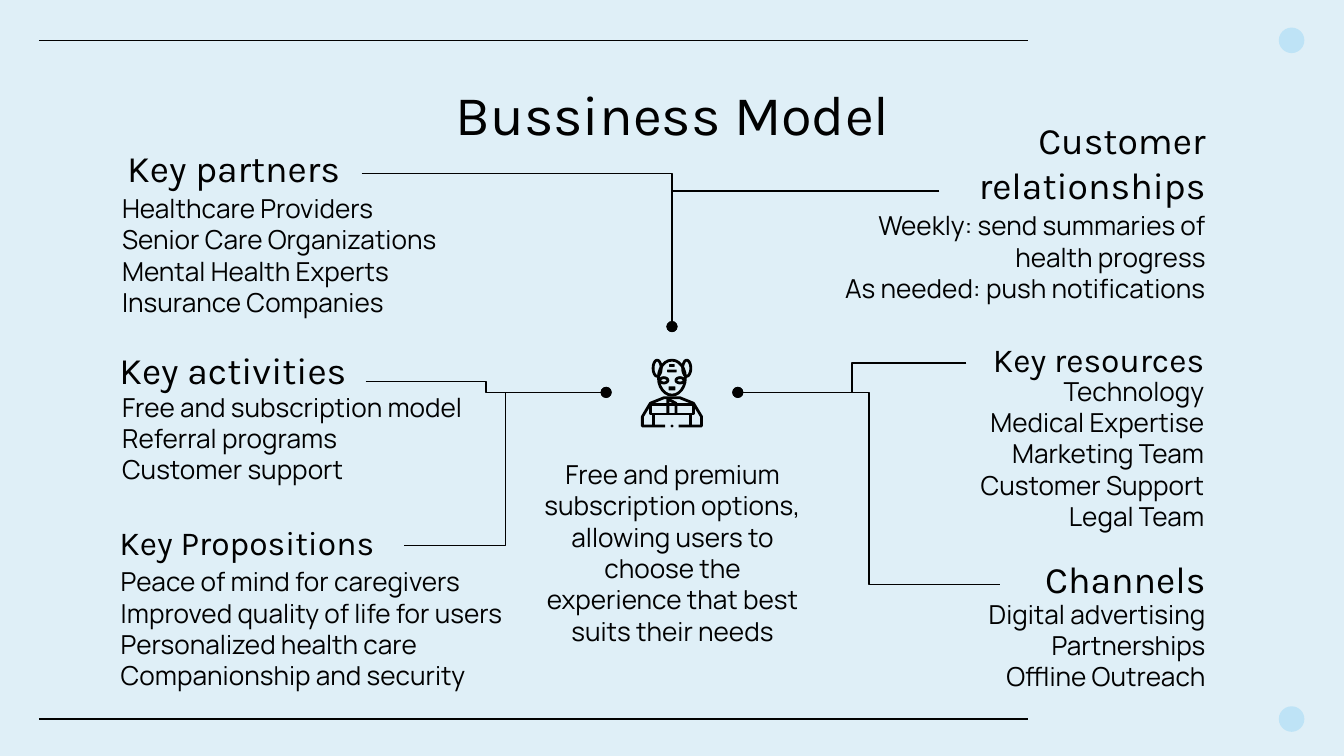
from math import cos, pi, sin

from lxml import etree
from pptx import Presentation
from pptx.dml.color import RGBColor
from pptx.enum.shapes import MSO_CONNECTOR, MSO_SHAPE
from pptx.enum.text import MSO_ANCHOR, MSO_AUTO_SIZE, PP_ALIGN
from pptx.oxml.ns import qn
from pptx.util import Inches, Pt

LEFT, CENTER, RIGHT = PP_ALIGN.LEFT, PP_ALIGN.CENTER, PP_ALIGN.RIGHT
TOP, BOTTOM = MSO_ANCHOR.TOP, MSO_ANCHOR.BOTTOM
STRAIGHT, ELBOW = MSO_CONNECTOR.STRAIGHT, MSO_CONNECTOR.ELBOW
OVAL, ROUNDED = MSO_SHAPE.OVAL, MSO_SHAPE.ROUNDED_RECTANGLE
INK, DOT, PAPER = "010101", "BEE3F6", "DFEFF7"
HEAD_FONT, BODY_FONT = "Karla", "Manrope"
W = 10
H = W * 9 / 16
MID = W / 2

TITLE = "Bussiness Model"
SUMMARY = ("Free and premium subscription options, allowing users to choose "
           "the experience that best suits their needs")
SECTIONS = [
    ("Key partners", 20, CENTER, (0.79, 1.07, 1.9, 0.44), (0.81, 1.33, 2.56, 0.63),
     ["Healthcare Providers", "Senior Care Organizations",
      "Mental Health Experts", "Insurance Companies"]),
    ("Key activities", 20, LEFT, (0.79, 2.67, 1.94, 0.35), (0.81, 2.81, 2.86, 0.63),
     ["Free and subscription model", "Referral programs", "Customer support"]),
    ("Key Propositions", 18, LEFT, (0.79, 3.84, 2.22, 0.44), (0.8, 4.11, 3.12, 0.63),
     ["Peace of mind for caregivers", "Improved quality of life for users",
      "Personalized health care", "Companionship and security"]),
    ("Customer relationships", 20, RIGHT, (6.99, 1.2, 2.08, 0.44), (5.99, 1.46, 3.08, 0.63),
     ["Weekly: send summaries of health progress", "As needed: push notifications"]),
    ("Key resources", 18, RIGHT, (7.19, 2.48, 1.87, 0.44), (6.79, 2.69, 2.27, 0.63),
     ["Technology", "Medical Expertise", "Marketing Team", "Customer Support", "Legal Team"]),
    ("Channels", 20, RIGHT, (7.44, 4.13, 1.63, 0.44), (6.94, 4.35, 2.13, 0.63),
     ["Digital advertising", "Partnerships", "Offline Outreach"]),
]
HUB_TOP, HUB_LEFT, HUB_RIGHT = (MID, 2.43), (4.51, 2.92), (5.49, 2.92)
LINKS = [
    ((2.69, 1.29), HUB_TOP, "bentConnector2"),
    ((6.99, 1.42), HUB_TOP, "bentConnector2"),
    ((2.72, 2.84), HUB_LEFT, "bentConnector3"),
    ((3.01, 4.06), HUB_LEFT, "bentConnector3"),
    ((7.19, 2.7), HUB_RIGHT, "bentConnector3"),
    ((7.44, 4.35), HUB_RIGHT, "bentConnector3"),
]
OVALS = [(4.89, 2.74, 0.03, 0.06), (5.11, 2.74, 0.03, 0.06), (MID, 2.81, 0.1, 0.13),
         (4.94, 2.83, 0.03, 0.02), (5.06, 2.83, 0.03, 0.02)]
STROKES = [
    [(4.95, 3.17), (4.78, 3.17), (4.78, 3.1), (4.84, 3), (4.94, 2.96), (5.06, 2.96),
     (5.16, 3), (5.22, 3.1), (5.22, 3.17), (5.05, 3.17)],
    [(4.86, 3.17), (4.86, 3.08), (4.84, 3.08), (4.84, 3.01), (5.16, 3.01),
     (5.16, 3.08), (5.14, 3.08), (5.14, 3.17)],
    [(4.86, 3.08), (5.14, 3.08)],
    [(4.97, 3.08), (4.97, 2.97), (5.03, 3), (5.03, 3.08)],
]
DETAILS = [(ROUNDED, 2.76, 0.07, 0.02), (ROUNDED, 2.72, 0.04, 0.02),
           (ROUNDED, 2.89, 0.05, 0.03), (OVAL, 3.17, 0.02, 0.02)]


def color(value):
    return RGBColor.from_string(value)


def write(sp, lines, size, font, align, anchor=TOP):
    tf = sp.text_frame
    tf.word_wrap, tf.auto_size, tf.vertical_anchor = True, MSO_AUTO_SIZE.NONE, anchor
    tf.margin_left = tf.margin_right = tf.margin_top = tf.margin_bottom = Inches(0.1)
    tf.text = "\n".join(lines)
    for p in tf.paragraphs:
        p.alignment = align
        p.font.size, p.font.name = Pt(size), font
        p.font.color.rgb = color(INK)


def text_box(s, box, *style):
    write(s.shapes.add_textbox(*map(Inches, box)), *style)


def line(s, kind, start, end):
    sp = s.shapes.add_connector(kind, *map(Inches, start + end))
    sp.line.color.rgb, sp.line.width = color(INK), Pt(0.75)
    etree.SubElement(sp._element.spPr, qn("a:effectLst"))
    return sp


def link(s, start, end, preset):
    sp = line(s, ELBOW, start, end)
    sp._element.spPr.find(qn("a:prstGeom")).set("prst", preset)
    etree.SubElement(sp.line._get_or_add_ln(), qn("a:tailEnd"), type="oval")


def centered(s, kind, cx, cy, w, h, fill):
    sp = s.shapes.add_shape(kind, *map(Inches, (cx - w / 2, cy - h / 2, w, h)))
    sp.shadow.inherit = False
    sp.fill.solid()
    sp.fill.fore_color.rgb = color(fill)
    sp.line.fill.background()


def ellipse(cx, cy, rx, ry, steps=24):
    angles = [2 * pi * i / steps for i in range(steps + 1)]
    return [(cx + rx * cos(a), cy + ry * sin(a)) for a in angles]


def outline(s, contours):
    first, *rest = [[(round(x * 1000), round(y * 1000)) for x, y in c] for c in contours]
    builder = s.shapes.build_freeform(*first[0], scale=Inches(1) / 1000)
    builder.add_line_segments(first[1:], close=False)
    for points in rest:
        builder.move_to(*points[0])
        builder.add_line_segments(points[1:], close=False)
    sp = builder.convert_to_shape()
    sp.shadow.inherit = False
    sp.fill.background()
    sp.line.color.rgb, sp.line.width = color(INK), Pt(1.5)


prs = Presentation()
prs.slide_width, prs.slide_height = Inches(W), Inches(H)
s = prs.slides.add_slide(prs.slide_layouts[5])
s.background.fill.solid()
s.background.fill.fore_color.rgb = color(PAPER)

for y in (0.3, 5.35):
    line(s, STRAIGHT, (0.29, y), (7.65, y))
    centered(s, OVAL, 9.61, y, 0.19, 0.19, DOT)

title = s.shapes.title
title.left, title.top, title.width, title.height = map(Inches, (0.79, 0.49, 8.43, 0.63))
write(title, [TITLE], 30, HEAD_FONT, CENTER)

for heading, size, align, head_box, list_box, items in SECTIONS:
    text_box(s, head_box, [heading], size, HEAD_FONT, align, BOTTOM)
    text_box(s, list_box, items, 14, BODY_FONT, RIGHT if align == RIGHT else LEFT)
text_box(s, (3.94, 3.31, 2.13, 1.11), [SUMMARY], 14, BODY_FONT, CENTER)

for start, end, preset in LINKS:
    link(s, start, end, preset)

outline(s, [ellipse(*o) for o in OVALS] + STROKES)
for kind, y, w, h in DETAILS:
    centered(s, kind, MID, y, w, h, INK)

prs.save("out.pptx")
